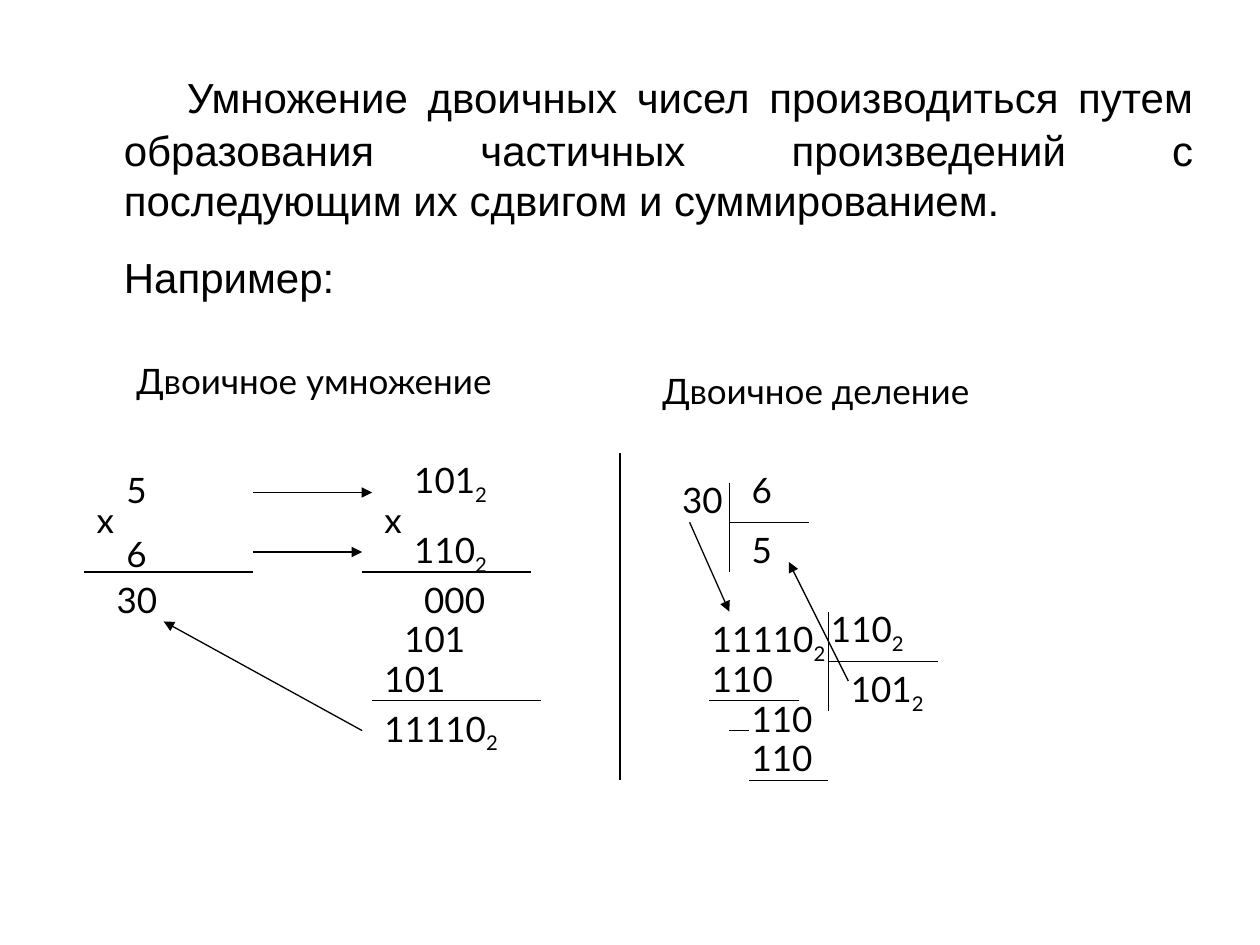
from lxml import etree
from pptx import Presentation
from pptx.dml.color import RGBColor
from pptx.enum.shapes import MSO_CONNECTOR
from pptx.enum.text import MSO_ANCHOR, PP_ALIGN
from pptx.oxml.ns import qn
from pptx.util import Pt

STRAIGHT = MSO_CONNECTOR.STRAIGHT
MIDDLE = MSO_ANCHOR.MIDDLE
JUSTIFY = PP_ALIGN.JUSTIFY
BLACK = RGBColor(0x00, 0x00, 0x00)

# Each intro paragraph is a list of (text, size) runs
INTRO = [
    [("\t\t", 32),
     ("Умножение двоичных чисел производиться путем образования частичных "
      "произведений с последующим их сдвигом и суммированием.", 24)],
    [("\tНапример:", 24)],
]

# Positions below are in grid steps: column, row, width, paragraphs.
# The digits after "_" are the base of the number, set as a subscript.
HEADINGS = [
    (12, 35, 41, ["Двоичное умножение"]),
    (65, 36, 36, ["Двоичное деление"]),
]
MULTIPLICATION = [
    (11, 46, 14, ["5", "6"]),
    (8, 49, 5, ["x"]),
    (10, 57, 7, ["30"]),
    (40, 45, 10, ["101_2"]),
    (40, 52, 11, ["110_2"]),
    (37, 49, 5, ["x"]),
    (41, 57, 10, ["000"]),
    (39, 61, 10, ["101"]),
    (37, 65, 9, ["101"]),
    (37, 70, 16, ["11110_2"]),
]
DIVISION = [
    (67, 47, 8, ["30"]),
    (74, 46, 10, ["6"]),
    (74, 52, 7, ["5"]),
    (70, 61, 14, ["11110_2"]),
    (82, 60, 11, ["110_2"]),
    (84, 66, 12, ["101_2"]),
    (70, 65, 9, ["110"]),
    (74, 69, 11, ["110"]),
    (74, 73, 11, ["110"]),
]

# Start column, start row, end column, end row
RULES = [
    (8, 57, 25, 57), (36, 57, 53, 57), (37, 70, 54, 70),   # multiplication sums
    (62, 45, 62, 78),                                      # divider
    (73, 48, 73, 57), (73, 52, 81, 52),                    # decimal division
    (83, 61, 83, 71), (83, 66, 94, 66),                    # binary division
    (71, 70, 80, 70), (73, 73, 75, 73), (75, 78, 83, 78),  # subtractions
]
ARROWS = [
    (25, 49, 37, 49), (25, 55, 36, 55), (36, 73, 16, 62),
    (69, 52, 73, 61), (85, 68, 79, 56),
]

STEP, LEFT, TOP = 5.67, 2.83, 3.6
LINE_HEIGHT, PARAGRAPH_GAP = 31.7, 12.5


def grid_x(column):
    return Pt(LEFT + STEP * column)


def grid_y(row):
    return Pt(TOP + STEP * row)


def add_run(paragraph, text, font_name, size):
    run = paragraph.add_run()
    run.text = text
    run.font.name = font_name
    run.font.size = Pt(size)
    run.font.color.rgb = BLACK
    return run


def paragraphs_of(frame, items):
    """Yield a paragraph of the frame with each item."""
    for index, item in enumerate(items):
        yield (frame.add_paragraph() if index else frame.paragraphs[0]), item


def add_intro(slide):
    frame = slide.shapes.add_textbox(Pt(36.7), Pt(26), Pt(652.3), Pt(153.4)).text_frame
    frame.word_wrap = True
    frame.vertical_anchor = MIDDLE
    for paragraph, runs in paragraphs_of(frame, INTRO):
        properties = paragraph._p.get_or_add_pPr()
        properties.set("marL", str(Pt(27)))
        properties.set("indent", str(-Pt(27)))
        tab_list = etree.SubElement(properties, qn("a:tabLst"))
        for inch in range(8):
            etree.SubElement(tab_list, qn("a:tab"), pos=str(Pt(72 * inch)), algn="l")
        paragraph.alignment = JUSTIFY
        if runs is not INTRO[0]:
            paragraph.space_before = Pt(15)
        for text, size in runs:
            add_run(paragraph, text, "Arial", size)


def add_number(slide, column, row, width, lines):
    height = LINE_HEIGHT + (len(lines) - 1) * (LINE_HEIGHT + 4)
    frame = slide.shapes.add_textbox(
        grid_x(column), grid_y(row), Pt(width * STEP), Pt(height)).text_frame
    frame.word_wrap = True
    for paragraph, line in paragraphs_of(frame, lines):
        if line is not lines[0]:
            paragraph.space_before = Pt(PARAGRAPH_GAP)
        digits, _, base = line.partition("_")
        add_run(paragraph, digits, "Lato", 20)
        if base:
            subscript = add_run(paragraph, base, "Lato", 20)
            subscript.font._element.set("baseline", "-25000")


def add_line(slide, x1, y1, x2, y2, arrow=False):
    connector = slide.shapes.add_connector(
        STRAIGHT, grid_x(x1), grid_y(y1), grid_x(x2), grid_y(y2))
    connector.line.color.rgb = BLACK
    connector.line.width = Pt(0.75)
    if arrow:
        etree.SubElement(connector.line._get_or_add_ln(), qn("a:tailEnd"), type="triangle")
    etree.SubElement(connector._element.spPr, qn("a:effectLst"))


def main():
    presentation = Presentation()
    presentation.slide_width, presentation.slide_height = Pt(720), Pt(540)
    slide = presentation.slides.add_slide(presentation.slide_layouts[6])
    add_intro(slide)
    for number in HEADINGS + MULTIPLICATION + DIVISION:
        add_number(slide, *number)
    for rule in RULES:
        add_line(slide, *rule)
    for arrow in ARROWS:
        add_line(slide, *arrow, arrow=True)
    presentation.save("out.pptx")


if __name__ == "__main__":
    main()
